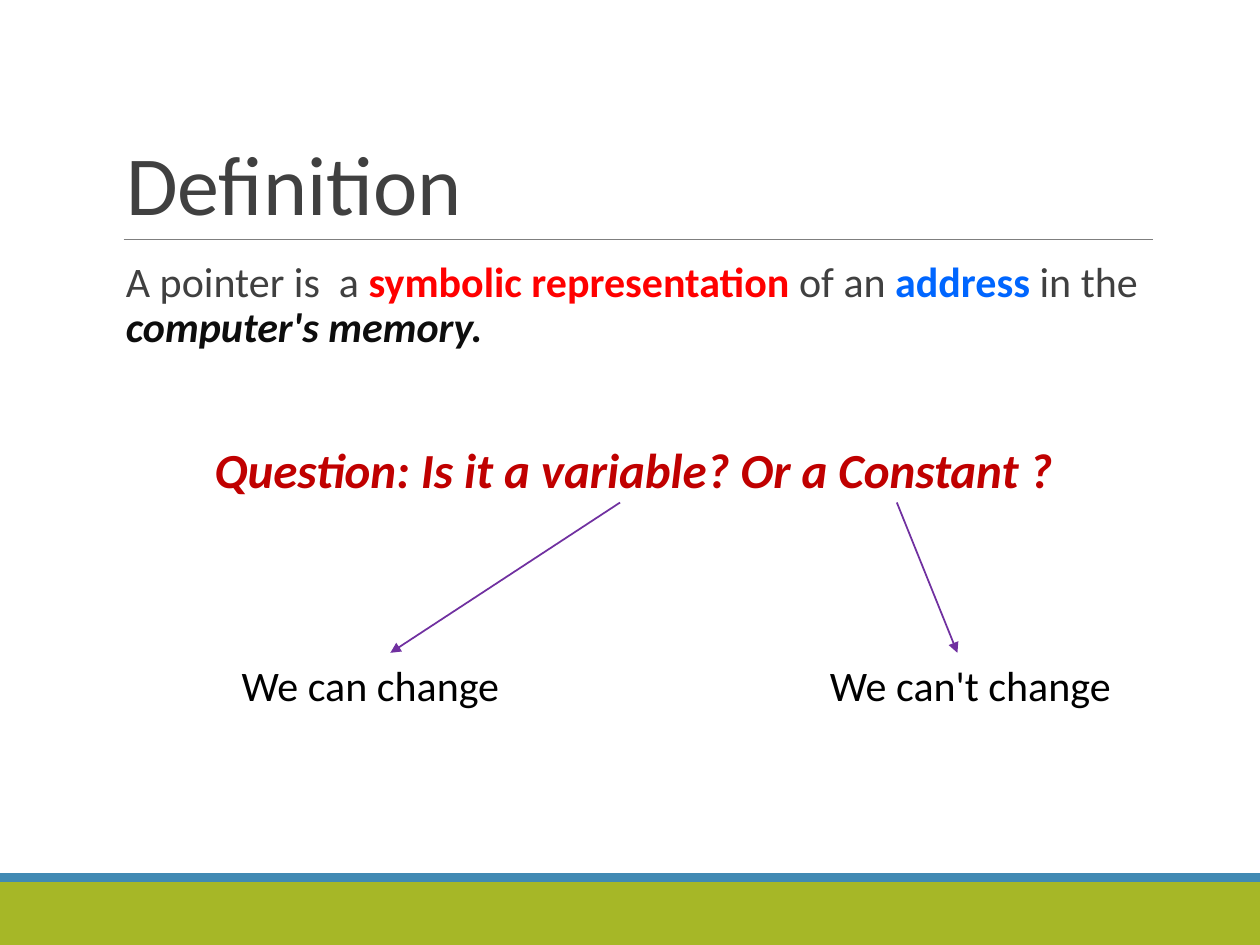
from dataclasses import dataclass

from lxml.etree import SubElement
from pptx import Presentation
from pptx.dml.color import RGBColor
from pptx.enum.shapes import MSO_CONNECTOR as CONN, MSO_SHAPE as SHAPE
from pptx.enum.text import MSO_ANCHOR as ANCHOR, MSO_AUTO_SIZE as AUTO, PP_ALIGN as ALIGN
from pptx.oxml.ns import qn
from pptx.util import Cm, Pt

FONT = "Calibri"
GREY, RED, BLUE, BLACK = "404040", "FF0000", "0066FF", "0D0D0D"
DARK_RED, PURPLE = "C00000", "7030A0"
INSET_X, INSET_Y = Cm(0.25), Cm(0.13)


@dataclass
class Band:
    top: float
    height: float
    color: str


@dataclass
class Answer:
    text: str
    left: float
    width: float
    arrow_start: float
    arrow_end: float


BANDS = [Band(17.78, 1.27, "A6B727"), Band(17.6, 0.18, "418AB3")]
ANSWERS = [
    Answer("We can change", 4.62, 6.53, 12.5, 7.87),
    Answer("We can't change", 16.48, 7.04, 18.08, 19.3),
]
ARROW_TOP, ANSWER_TOP = 10.13, 13.16
DEFINITION = [
    ("A pointer is  a ", GREY, {}),
    ("symbolic representation ", RED, {"bold": True}),
    ("of an ", GREY, {}),
    ("address", BLUE, {"bold": True}),
    (" in the ", GREY, {}),
    ("computer's memory.", BLACK, {"bold": True, "italic": True}),
]


def rgb(color: str) -> RGBColor:
    return RGBColor.from_string(color)


def add_run(p, text: str, size: float, color: str, **formats) -> None:
    r = p.add_run()
    r.text = text
    r.font.color.rgb = rgb(color)
    for name, value in {"name": FONT, "size": Pt(size), **formats}.items():
        setattr(r.font, name, value)


def set_frame(tf, **formats) -> None:
    values = {"margin_left": INSET_X, "margin_right": INSET_X,
              "margin_top": INSET_Y, "margin_bottom": INSET_Y,
              "word_wrap": True, "auto_size": AUTO.NONE,
              "vertical_anchor": ANCHOR.TOP, **formats}
    for name, value in values.items():
        setattr(tf, name, value)


def add_text_box(s, left: float, top: float, width: float, height: float, **formats):
    tf = s.shapes.add_textbox(Cm(left), Cm(top), Cm(width), Cm(height)).text_frame
    set_frame(tf, **formats)
    return tf


def add_band(s, band: Band) -> None:
    sp = s.shapes.add_shape(SHAPE.RECTANGLE, 0, Cm(band.top), Cm(25.4), Cm(band.height))
    sp.shadow.inherit = False
    sp.fill.solid()
    sp.fill.fore_color.rgb = rgb(band.color)
    sp.line.fill.background()


def add_line(s, x1: float, y1: float, x2: float, y2: float,
             color: str, width: float, arrow: bool = False) -> None:
    line = s.shapes.add_connector(CONN.STRAIGHT, Cm(x1), Cm(y1), Cm(x2), Cm(y2))
    line.line.color.rgb = rgb(color)
    line.line.width = Pt(width)
    if arrow:
        SubElement(line.line._get_or_add_ln(), qn("a:tailEnd"), type="triangle")
    SubElement(line._element.spPr, qn("a:effectLst"))


def add_answer(s, answer: Answer) -> None:
    add_line(s, answer.arrow_start, ARROW_TOP, answer.arrow_end, ANSWER_TOP,
             PURPLE, 1, arrow=True)
    tf = add_text_box(s, answer.left, ANSWER_TOP, answer.width, 1.27,
                      word_wrap=False, auto_size=AUTO.SHAPE_TO_FIT_TEXT)
    add_run(tf.paragraphs[0], answer.text, 24, "000000")


def main() -> None:
    prs = Presentation()
    prs.slide_width, prs.slide_height = Cm(25.4), Cm(19.05)
    s = prs.slides.add_slide(prs.slide_layouts[5])

    # Footer bands and title rule
    for band in BANDS:
        add_band(s, band)
    add_line(s, 2.49, 4.83, 23.24, 4.83, "7F7F7F", 0.5)

    # Title
    title = s.shapes.title
    title.left, title.top, title.width, title.height = Cm(2.29), Cm(0.79), Cm(20.96), Cm(4.04)
    set_frame(title.text_frame, vertical_anchor=ANCHOR.BOTTOM)
    p = title.text_frame.paragraphs[0]
    p.alignment, p.line_spacing = ALIGN.LEFT, 0.85
    add_run(p, "Definition", 48, GREY)

    # Definition and question
    tf = add_text_box(s, 2.29, 5.13, 20.96, 11.18, margin_left=0, margin_right=0)
    p = tf.paragraphs[0]
    p.line_spacing, p.space_after = 0.9, Pt(2)
    p._p.get_or_add_pPr().set("marL", str(INSET_X))
    for text, color, formats in DEFINITION:
        add_run(p, text, 24, color, **formats)
    p = tf.add_paragraph()
    p.alignment, p.line_spacing, p.space_before = ALIGN.CENTER, 0.9, Pt(52)
    add_run(p, "Question: Is it a variable? Or a Constant ?", 28, DARK_RED,
            bold=True, italic=True)

    # Answers with their arrows
    for answer in ANSWERS:
        add_answer(s, answer)

    prs.save("out.pptx")


if __name__ == "__main__":
    main()
